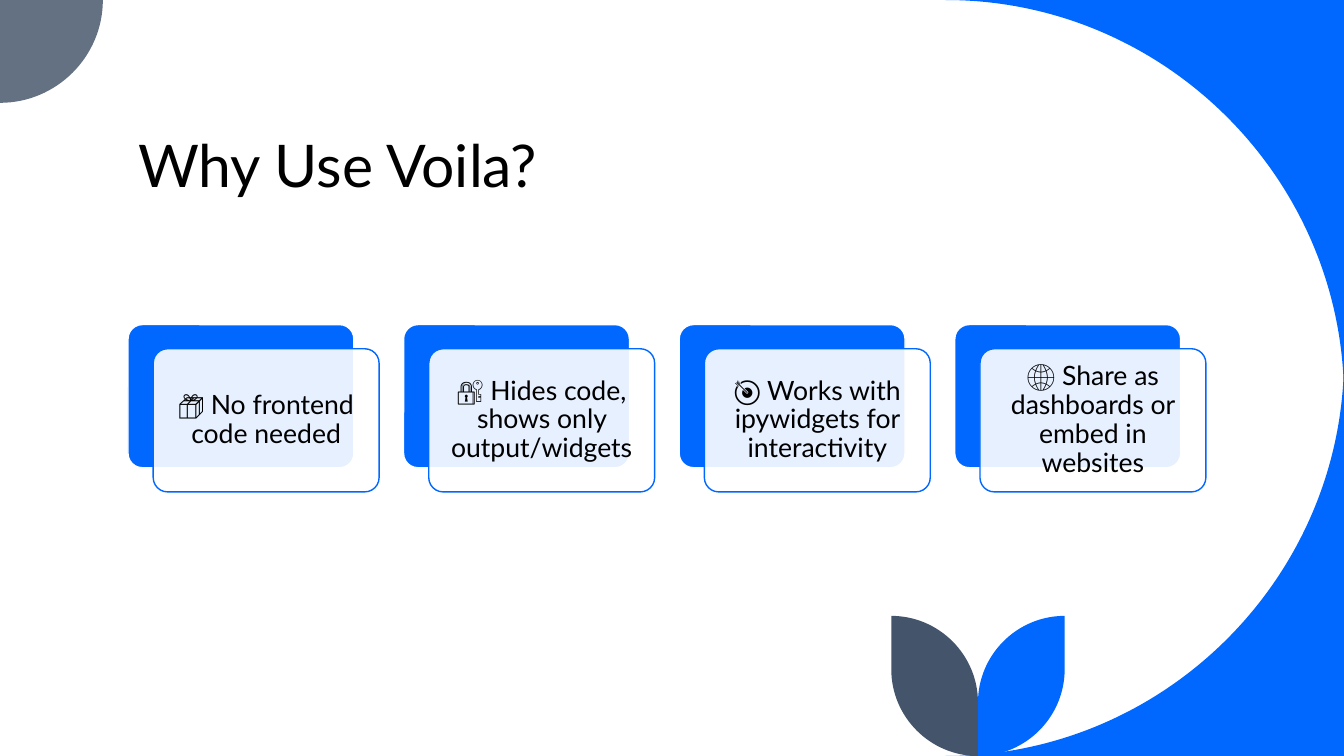
from lxml import etree
from pptx import Presentation
from pptx.dml.color import RGBColor
from pptx.enum.shapes import MSO_SHAPE
from pptx.enum.text import MSO_ANCHOR, MSO_AUTO_SIZE, PP_ALIGN
from pptx.oxml.ns import qn
from pptx.util import Inches, Pt

ROUND_RECT = MSO_SHAPE.ROUNDED_RECTANGLE
LEFT, CENTER = PP_ALIGN.LEFT, PP_ALIGN.CENTER
BOTTOM, MIDDLE = MSO_ANCHOR.BOTTOM, MSO_ANCHOR.MIDDLE
NO_AUTOFIT = MSO_AUTO_SIZE.NONE

COLORS = {
    "blue": "0068FF",
    "slate": "637183",
    "navy": "44546A",
    "white": "FFFFFF",
    "black": "000000",
}
FONT = "Lato"
TITLE_ONLY = 5
WIDTH, HEIGHT = 13.33, 7.5
ROUNDNESS = 0.55

REASONS = [
    "📦 No frontend code needed",
    "🔐 Hides code, shows only output/widgets",
    "🎯 Works with ipywidgets for interactivity",
    "🌐 Share as dashboards or embed in websites",
]
CARD_LEFT, CARD_TOP, CARD_W, CARD_H = 1.27, 3.22, 2.24, 1.42
CARD_STEP = 8.2 / 3
SHIFT_X, SHIFT_Y = 0.25, 0.24
TEXT_INSET, TEXT_MARGIN = 0.04, 0.08


def toward(point, corner):
    return tuple(a + ROUNDNESS * (b - a) for a, b in zip(point, corner))


class SlideBuilder:
    def __init__(self, prs):
        self.slide = prs.slides.add_slide(prs.slide_layouts[TITLE_ONLY])

    def color(self, name):
        return RGBColor.from_string(COLORS[name])

    def fill(self, sp, name, alpha=None):
        sp.shadow.inherit = False
        sp.fill.solid()
        sp.fill.fore_color.rgb = self.color(name)
        if alpha is not None:
            clr = next(sp._element.spPr.iter(qn("a:srgbClr")))
            etree.SubElement(clr, qn("a:alpha")).set("val", str(alpha * 1000))

    def text(self, sp, text, size, align, spacing, frame):
        tf = sp.text_frame
        for name, value in frame.items():
            setattr(tf, name, value)
        p = tf.paragraphs[0]
        p.alignment, p.line_spacing = align, spacing
        r = p.add_run()
        r.text = text
        font = {"name": FONT, "size": Pt(size), "bold": False}
        for name, value in font.items():
            setattr(r.font, name, value)
        r.font.color.rgb = self.color("black")

    def title(self, text, left, top, width, height):
        sp = self.slide.shapes.title
        box = {"left": left, "top": top, "width": width, "height": height}
        for name, value in box.items():
            setattr(sp, name, Inches(value))
        frame = {"vertical_anchor": BOTTOM, "word_wrap": True, "auto_size": NO_AUTOFIT}
        self.text(sp, text, 42, LEFT, 0.8, frame)

    def outline(self, color, start, *segments):
        points, curves = [start], []
        for *corner, end in segments:
            if corner:
                curves.append(len(points) - 1)
                points += [toward(points[-1], corner[0]), toward(end, corner[0])]
            points.append(end)
        points = [(Inches(x), Inches(y)) for x, y in points]
        builder = self.slide.shapes.build_freeform(*points[0])
        builder.add_line_segments(points[1:], close=True)
        sp = builder.convert_to_shape()
        lines = list(sp._element.spPr.iter(qn("a:lnTo")))
        for i in curves:
            curve = etree.Element(qn("a:cubicBezTo"))
            lines[i].addprevious(curve)
            for line in lines[i:i + 3]:
                curve.append(line[0])
                line.getparent().remove(line)
        self.fill(sp, color)
        sp.line.fill.background()

    def leaf(self, color, stem, side):
        self.outline(color, (side, 6.11), [(side, 6.64)], [(side, HEIGHT), (stem, HEIGHT)],
                     [(stem, 6.97)], [(stem, 6.11), (side, 6.11)])

    def panel(self, left, top, color, line, alpha=None):
        box = [Inches(v) for v in (left, top, CARD_W, CARD_H)]
        sp = self.slide.shapes.add_shape(ROUND_RECT, *box)
        sp.adjustments[0] = 0.1
        self.fill(sp, color, alpha)
        sp.line.color.rgb = self.color(line)
        sp.line.width = Pt(1)

    def card(self, left, top, text):
        self.panel(left, top, "blue", "white")
        left, top = left + SHIFT_X, top + SHIFT_Y
        self.panel(left, top, "white", "blue", 90)
        box = (left + TEXT_INSET, top + TEXT_INSET,
               CARD_W - 2 * TEXT_INSET, CARD_H - 2 * TEXT_INSET)
        sp = self.slide.shapes.add_textbox(*[Inches(v) for v in box])
        frame = {"vertical_anchor": MIDDLE, "word_wrap": True}
        for side in ("left", "right", "top", "bottom"):
            frame[f"margin_{side}"] = Inches(TEXT_MARGIN)
        self.text(sp, text, 19, CENTER, 0.9, frame)


def main():
    prs = Presentation()
    prs.slide_width, prs.slide_height = Inches(WIDTH), Inches(HEIGHT)
    s = SlideBuilder(prs)

    for edge, end in ((0, 3.95), (HEIGHT, 3.55)):
        s.outline("blue", (WIDTH, edge), [(9.38, edge)], [(WIDTH, edge), (WIDTH, end)])
    s.outline("slate", (0, 0), [(1.02, 0)], [(1.02, 1.02), (0, 1.02)])
    s.leaf("blue", 9.7, 10.56)
    s.leaf("navy", 9.7, 8.84)

    s.title("Why Use Voila?", 1.27, 0.11, 10.69, 1.91)
    for i, reason in enumerate(REASONS):
        s.card(CARD_LEFT + i * CARD_STEP, CARD_TOP, reason)

    prs.save("out.pptx")


if __name__ == "__main__":
    main()
